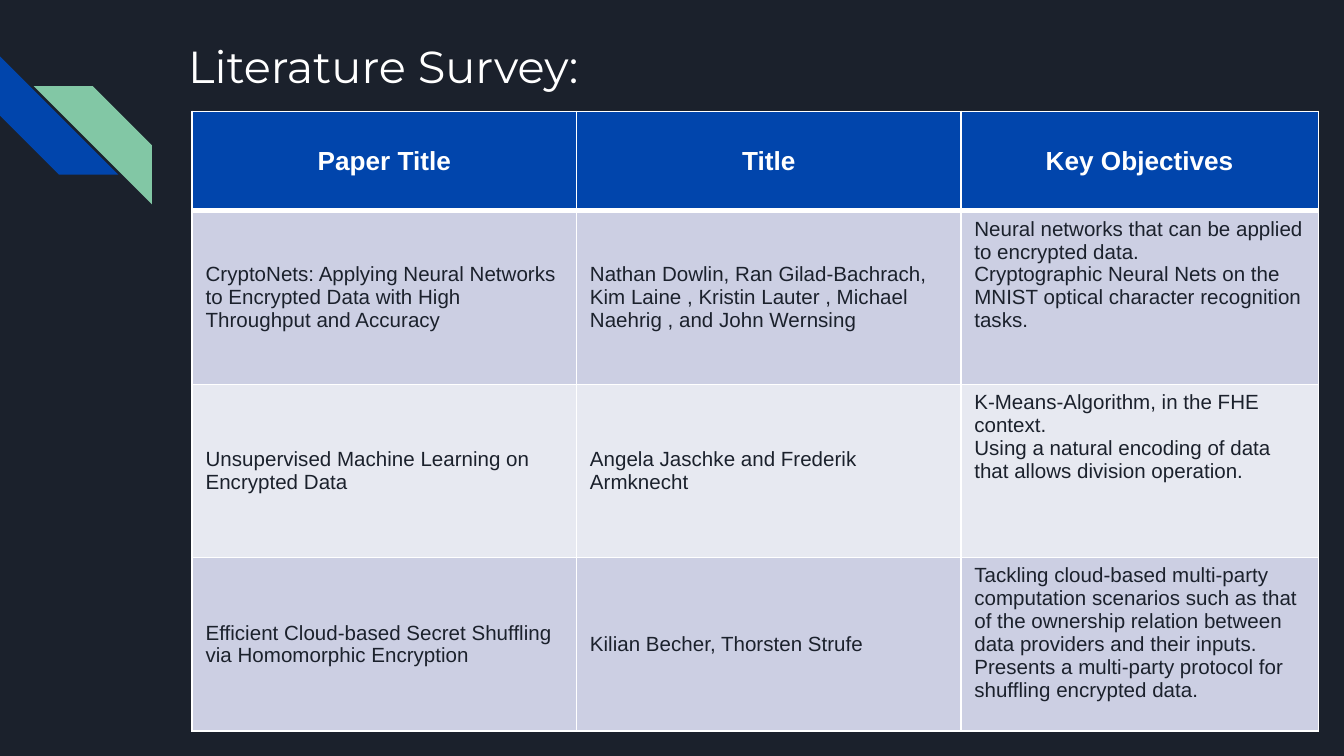
from lxml import etree
from pptx import Presentation
from pptx.dml.color import RGBColor
from pptx.enum.shapes import MSO_SHAPE
from pptx.enum.text import MSO_ANCHOR, MSO_AUTO_SIZE, PP_ALIGN
from pptx.oxml.ns import qn
from pptx.util import Inches, Pt

NAVY = RGBColor(0x1B, 0x21, 0x2C)
BLUE = RGBColor(0x01, 0x45, 0xAC)
GREEN = RGBColor(0x82, 0xC7, 0xA5)
WHITE = RGBColor(0xFF, 0xFF, 0xFF)
LAVENDER = RGBColor(0xCC, 0xCF, 0xE3)
PALE = RGBColor(0xE7, 0xE9, 0xF1)
STRIPE = MSO_SHAPE.DIAGONAL_STRIPE
TOP, MIDDLE = MSO_ANCHOR.TOP, MSO_ANCHOR.MIDDLE
LEFT, CENTER = PP_ALIGN.LEFT, PP_ALIGN.CENTER

COLUMN_WIDTHS = (2.86, 2.86, 2.66)
ROW_HEIGHTS = (0.74, 1.29, 1.29, 1.29)
HEADER_FORMAT = {"size": Pt(14), "bold": True, "name": "Arial"}
BODY_FORMAT = {"size": Pt(11), "bold": False, "name": "Arial"}
TITLE_FORMAT = {"size": Pt(24), "bold": False, "name": "Montserrat"}

# A line break inside a cell starts a new paragraph.
ROWS = (
    ("Paper Title", "Title", "Key Objectives"),
    ("CryptoNets: Applying Neural Networks to Encrypted Data with High Throughput and Accuracy",
     "Nathan Dowlin, Ran Gilad-Bachrach, Kim Laine , Kristin Lauter , Michael Naehrig , "
     "and John Wernsing",
     "Neural networks that can be applied to encrypted data.\n"
     "Cryptographic Neural Nets on the MNIST optical character recognition tasks."),
    ("Unsupervised Machine Learning on Encrypted Data",
     "Angela Jaschke and Frederik Armknecht",
     "K-Means-Algorithm, in the FHE context.\n"
     "Using a natural encoding of data that allows division operation."),
    ("Efficient Cloud-based Secret Shuffling via Homomorphic Encryption",
     "Kilian Becher, Thorsten Strufe",
     "Tackling cloud-based multi-party computation scenarios such as that of the ownership "
     "relation between data providers and their inputs.\n"
     "Presents a multi-party protocol for shuffling encrypted data."),
)


def format_text(text_frame, font_format, color, alignment):
    for paragraph in text_frame.paragraphs:
        paragraph.alignment = alignment
        for run in paragraph.runs:
            for attribute, value in font_format.items():
                setattr(run.font, attribute, value)
            run.font.color.rgb = color


def add_border(cell, side, points):
    """Draw one white edge; side is L, R, T or B."""
    properties = cell._tc.get_or_add_tcPr()
    line = etree.SubElement(properties, qn(f"a:ln{side}"), w=str(Pt(points)))
    fill = etree.SubElement(line, qn("a:solidFill"))
    etree.SubElement(fill, qn("a:srgbClr"), val=str(WHITE))


presentation = Presentation()
presentation.slide_width = Inches(10)
presentation.slide_height = presentation.slide_width * 9 // 16
slide = presentation.slides.add_slide(presentation.slide_layouts[5])
slide.background.fill.solid()
slide.background.fill.fore_color.rgb = NAVY

# Two interlocking stripes at the left edge
stripe_size = Inches(0.88)
for left, top, color, rotation, flipped in (
    (0, 0.42, BLUE, 270, False),
    (0.25, 0.64, GREEN, 0, True),
):
    stripe = slide.shapes.add_shape(STRIPE, Inches(left), Inches(top), stripe_size, stripe_size)
    stripe.adjustments[0] = 0.5
    stripe.rotation = rotation
    if flipped:
        stripe._element.spPr.xfrm.set("flipH", "1")
    stripe.shadow.inherit = False
    stripe.fill.solid()
    stripe.fill.fore_color.rgb = color
    stripe.line.fill.background()

title = slide.shapes.title
title.left, title.top = Inches(1.3), Inches(0.19)
title.width, title.height = Inches(7.7), Inches(0.51)
title_frame = title.text_frame
title_frame.text = "Literature Survey:"
title_frame.auto_size = MSO_AUTO_SIZE.NONE
title_frame.vertical_anchor = TOP
for side in ("left", "top", "right", "bottom"):
    setattr(title_frame, f"margin_{side}", Inches(0.1))
format_text(title_frame, TITLE_FORMAT, WHITE, LEFT)

table = slide.shapes.add_table(
    len(ROW_HEIGHTS), len(COLUMN_WIDTHS), Inches(1.43), Inches(0.83),
    Inches(sum(COLUMN_WIDTHS)), Inches(sum(ROW_HEIGHTS)),
).table
for column, width in zip(table.columns, COLUMN_WIDTHS):
    column.width = Inches(width)
for row, height in zip(table.rows, ROW_HEIGHTS):
    row.height = Inches(height)

for row_index, texts in enumerate(ROWS):
    is_header = row_index == 0
    for column_index, text in enumerate(texts):
        cell = table.cell(row_index, column_index)
        cell.text = text
        is_objective = column_index == 2 and not is_header
        cell.vertical_anchor = TOP if is_objective else MIDDLE
        border_widths = {"L": 1, "R": 1, "T": 3 if row_index == 1 else 1, "B": 3 if is_header else 1}
        for side, points in border_widths.items():
            add_border(cell, side, points)
        cell.fill.solid()
        if is_header:
            cell.fill.fore_color.rgb = BLUE
            format_text(cell.text_frame, HEADER_FORMAT, WHITE, CENTER)
        else:
            cell.fill.fore_color.rgb = LAVENDER if row_index % 2 else PALE
            format_text(cell.text_frame, BODY_FORMAT, NAVY, LEFT)

presentation.save("out.pptx")
